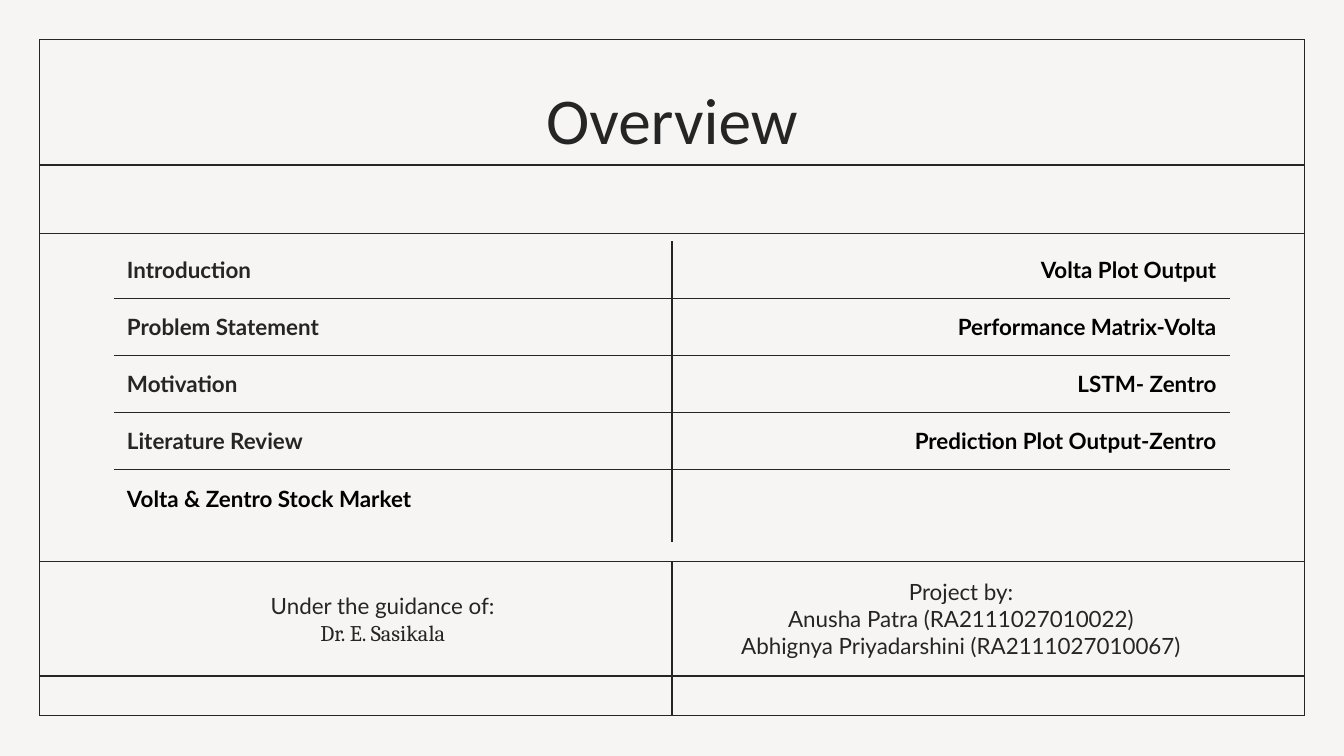
from lxml import etree
from pptx import Presentation
from pptx.dml.color import RGBColor
from pptx.enum import shapes, text
from pptx.oxml import parse_xml
from pptx.oxml.ns import nsdecls, qn
from pptx.util import Cm, Pt

COLORS = {"paper": "F7F5F4", "ink": "252525", "rule": "242424", "black": "000000"}
LINE = Pt(0.75)

# Frame grid in cm
LEFT, MID, RIGHT = 0.75, 12.7, 24.65
TOP, TITLE_END, BAND_END = 0.75, 3.12, 4.42
CREDITS, FOOTER, BOTTOM = 10.61, 12.78, 13.53

# Label, colour for the left column, then the same for the right column
TOPICS = [
    (("Introduction", "ink"), ("Volta Plot Output", "black")),
    (("Problem Statement", "ink"), ("Performance Matrix-Volta", "black")),
    (("Motivation", "ink"), ("LSTM- Zentro", "black")),
    (("Literature Review", "ink"), ("Prediction Plot Output-Zentro", "black")),
    (("Volta & Zentro Stock Market", "black"), ("", "black")),
]


def rgb(name):
    return RGBColor.from_string(COLORS[name])


def style_font(font, name, size, color, bold=None):
    font.size, font.bold = Pt(size), bold
    font.color.rgb = rgb(color)
    font.name = name


def set_insets(tf, left=0.25, right=0.25):
    tf.margin_left, tf.margin_right = Cm(left), Cm(right)
    tf.margin_top = tf.margin_bottom = Cm(0.25)


def add_box(s, left, top, right, bottom):
    sp = s.shapes.add_shape(shapes.MSO_SHAPE.RECTANGLE, Cm(left), Cm(top),
                            Cm(right - left), Cm(bottom - top))
    sp.shadow.inherit = False
    sp.fill.background()
    sp.line.color.rgb = rgb("ink")
    sp.line.width = LINE
    return sp


def add_credit(s, x1, x2, paragraphs, **insets):
    """Each paragraph is a list of (line, font name) pairs."""
    tf = add_box(s, x1, CREDITS, x2, FOOTER).text_frame
    tf.word_wrap = True
    tf.vertical_anchor = text.MSO_ANCHOR.MIDDLE
    set_insets(tf, **insets)
    for i, lines in enumerate(paragraphs):
        p = tf.add_paragraph() if i else tf.paragraphs[0]
        p.alignment = text.PP_ALIGN.CENTER
        for j, (line, font) in enumerate(lines):
            if j:
                p.add_line_break()
            r = p.add_run()
            r.text = line
            style_font(r.font, font, 12, color="ink")


def set_title(s):
    title = s.shapes.title
    title.left, title.top, title.width, title.height = Cm(2), Cm(1.25), Cm(21.4), Cm(1.6)
    tf = title.text_frame
    tf.auto_size = text.MSO_AUTO_SIZE.NONE
    tf.vertical_anchor = text.MSO_ANCHOR.TOP
    set_insets(tf)
    p = tf.paragraphs[0]
    p.alignment = text.PP_ALIGN.CENTER
    r = p.add_run()
    r.text = "Overview"
    style_font(r.font, "Calibri", 35, "ink")
    # Soft text shadow
    fill = r._r.get_or_add_rPr().find(qn("a:solidFill"))
    fill.addnext(parse_xml(
        f'<a:effectLst {nsdecls("a")}><a:outerShdw blurRad="38100" dist="38100" dir="2700000">'
        '<a:srgbClr val="000000"><a:alpha val="43000"/></a:srgbClr>'
        '</a:outerShdw></a:effectLst>'))


def set_borders(cell, ruled):
    """Draw only the sides named in ruled; clear the others."""
    tc_pr = cell._tc.get_or_add_tcPr()
    for side in "LRTB":
        ln = etree.SubElement(tc_pr, qn(f"a:ln{side}"), w=str(LINE))
        if side in ruled:
            fill = etree.SubElement(ln, qn("a:solidFill"))
            etree.SubElement(fill, qn("a:srgbClr"), val=COLORS["ink"])
        else:
            etree.SubElement(ln, qn("a:noFill"))


def add_topics(s):
    row_height = Cm(1.08)
    table = s.shapes.add_table(len(TOPICS), 2, Cm(2.15), Cm(4.56), Cm(21.09),
                               row_height * len(TOPICS)).table
    table.first_row = table.horz_banding = False
    for column, width in zip(table.columns, (7.14, 13.95)):
        column.width = Cm(width)
    aligns = (text.PP_ALIGN.LEFT, text.PP_ALIGN.RIGHT)
    for i, topics in enumerate(TOPICS):
        table.rows[i].height = row_height
        ruled = ("T" if i else "") + ("B" if i < len(TOPICS) - 1 else "")
        for j, (label, color) in enumerate(topics):
            cell = table.cell(i, j)
            set_borders(cell, ruled)
            cell.fill.background()
            cell.vertical_anchor = text.MSO_ANCHOR.MIDDLE
            cell.margin_left = cell.margin_right = Cm(0.25)
            cell.margin_top = cell.margin_bottom = 0
            p = cell.text_frame.paragraphs[0]
            p.text = label
            p.alignment = aligns[j]
            style_font(p.font, "Lato", 12, color, bold=True)


def add_divider(s):
    line = s.shapes.add_connector(shapes.MSO_CONNECTOR.STRAIGHT,
                                  Cm(MID), Cm(4.56), Cm(MID), Cm(10.24))
    line.line.color.rgb = rgb("rule")
    line.line.width = LINE
    etree.SubElement(line._element.spPr, qn("a:effectLst"))


def main():
    prs = Presentation()
    prs.slide_width, prs.slide_height = Cm(25.4), Cm(14.29)
    s = prs.slides.add_slide(prs.slide_layouts[5])
    s.background.fill.solid()
    s.background.fill.fore_color.rgb = rgb("paper")

    # Frame
    for box in ((LEFT, TITLE_END, RIGHT, BAND_END), (LEFT, TOP, RIGHT, BOTTOM),
                (LEFT, FOOTER, MID, BOTTOM), (MID, FOOTER, RIGHT, BOTTOM),
                (LEFT, TOP, RIGHT, TITLE_END)):
        add_box(s, *box)

    # Content
    set_title(s)
    add_topics(s)
    add_credit(s, LEFT, MID, [[("Under the guidance of:", "Lato"),
                               ("Dr. E. Sasikala", "Cambria")]], left=1.27)
    add_credit(s, MID, RIGHT, [[("Project by:", "Lato"),
                                ("Anusha Patra (RA2111027010022)", "Lato")],
                               [("Abhignya Priyadarshini (RA2111027010067)", "Lato")]],
               right=1.27)
    add_divider(s)
    prs.save("out.pptx")


if __name__ == "__main__":
    main()
